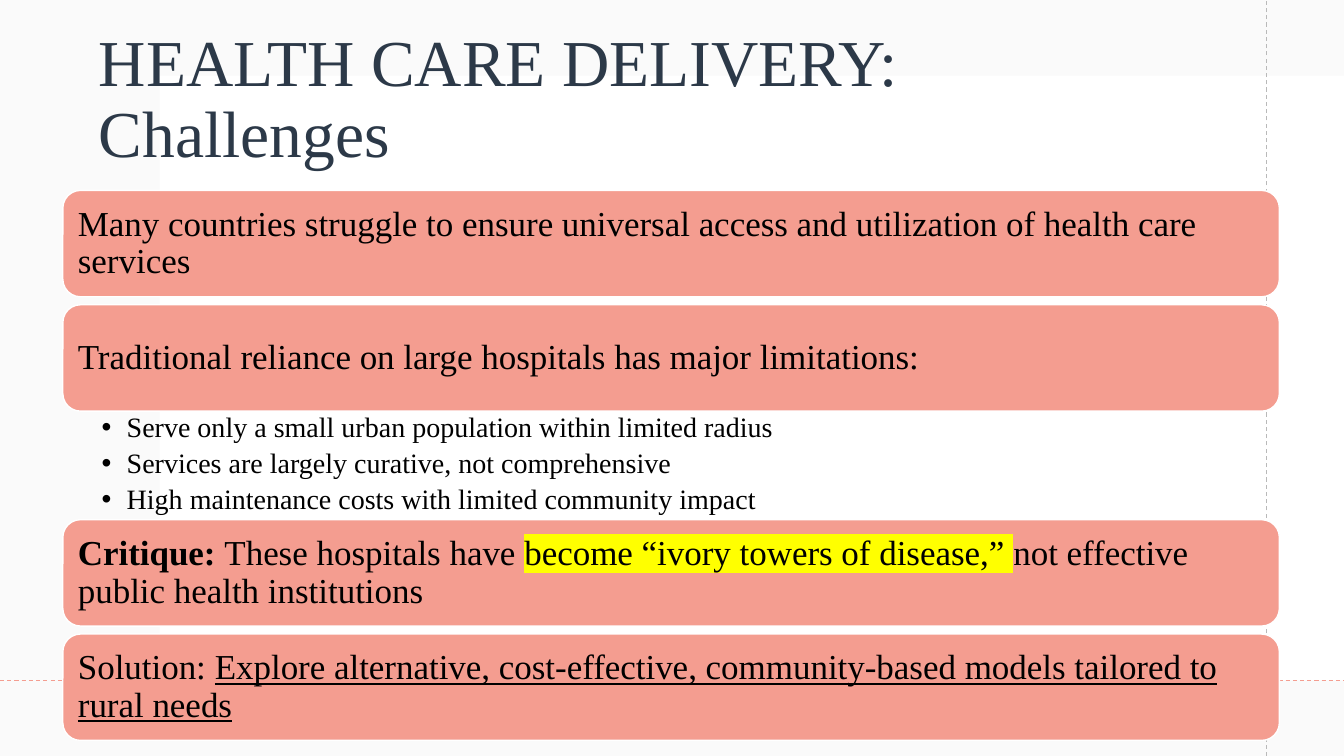
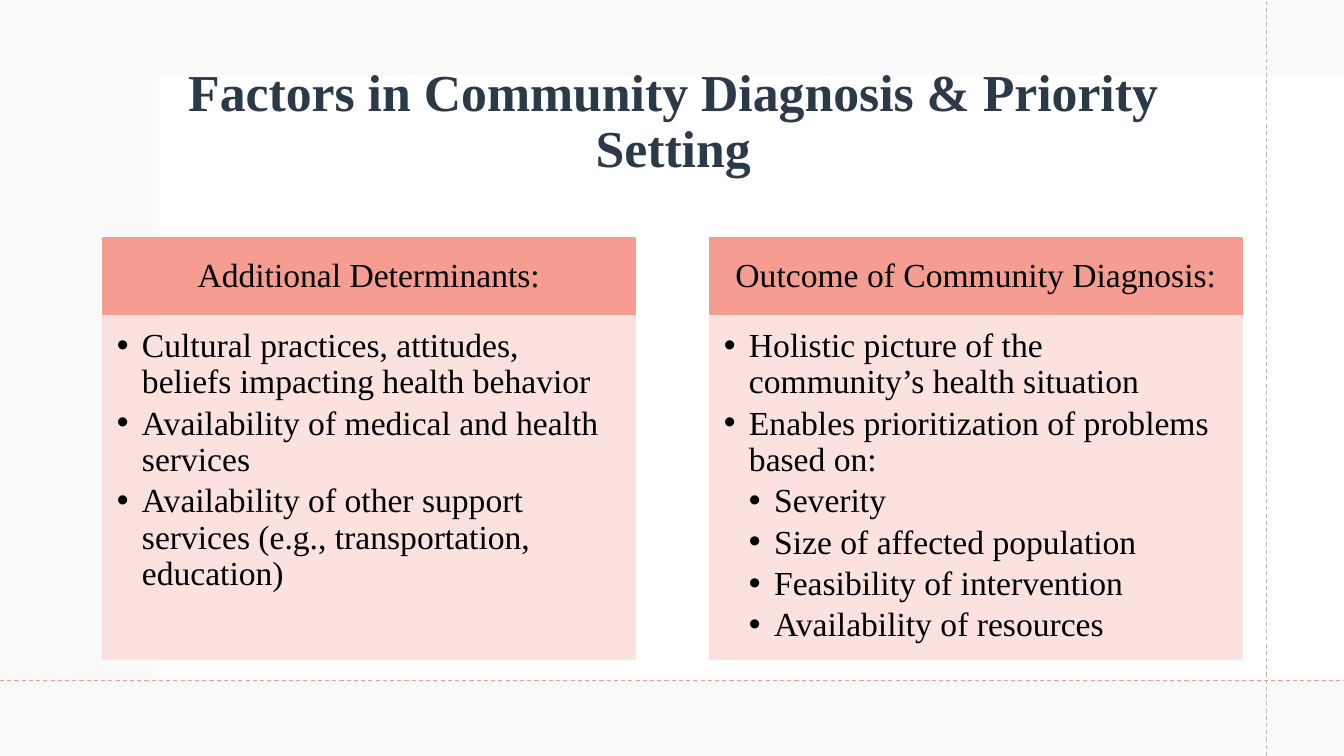
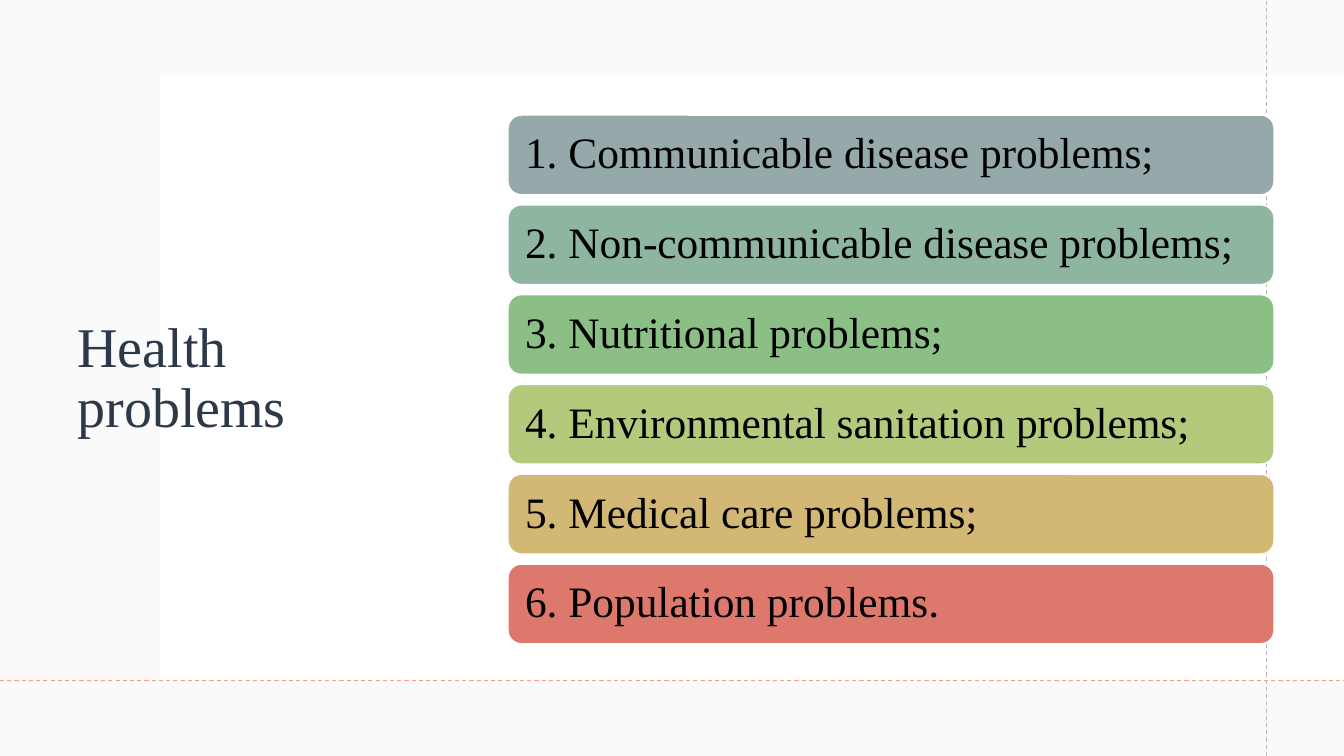
from dataclasses import dataclass
from typing import Any

from lxml.etree import SubElement
from pptx import Presentation
from pptx.dml.color import RGBColor
from pptx.enum.dml import MSO_LINE
from pptx.enum.shapes import MSO_CONNECTOR, MSO_SHAPE
from pptx.enum.text import MSO_ANCHOR as Anchor, MSO_AUTO_SIZE, PP_ALIGN as Align
from pptx.oxml.ns import qn
from pptx.slide import Slide
from pptx.util import Pt

FONT = "Times New Roman"
WIDTH, HEIGHT = 960, 540
INK, NAVY, WHITE = "000000", "2C3948", "FFFFFF"
CORAL, BLUSH, MIST, GREY = "F49D90", "FBDFDB", "F4F4F4", "B9B9B9"
YELLOW = "FFFF00"
BULLET_INDENT = 18


@dataclass(frozen=True)
class Box:
    left: float
    top: float
    width: float
    height: float


@dataclass(frozen=True)
class Span:
    text: str
    bold: bool = False
    underline: bool = False
    highlight: str = ""


@dataclass(frozen=True)
class Paragraph:
    spans: tuple[Span, ...]
    level: int = 0


@dataclass(frozen=True)
class TextStyle:
    size: float
    color: str = INK
    align: Align = Align.LEFT
    anchor: Anchor = Anchor.MIDDLE
    insets: tuple[float, float, float, float] = (7.2, 3.6, 7.2, 3.6)
    after: float = 0
    bulleted: bool = False


@dataclass(frozen=True)
class Panel:
    left: float
    heading: str
    points: tuple[Paragraph, ...]


def plain(text: str, level: int = 0) -> Paragraph:
    return Paragraph((Span(text),), level)


def apply(target: Any, values: dict[str, Any]) -> None:
    for attribute, value in values.items():
        setattr(target, attribute, value)


def paint(fill: Any, color: str, opacity: int = 100) -> None:
    fill.solid()
    fill.fore_color.rgb = RGBColor.from_string(color)
    if opacity < 100:
        for tint in fill._xPr.iterfind(f"{qn('a:solidFill')}/{qn('a:srgbClr')}"):
            SubElement(tint, qn("a:alpha"), val=str(opacity * 1000))


def place(shape: Any, box: Box) -> None:
    apply(shape, {side: Pt(getattr(box, side)) for side in ("left", "top", "width", "height")})


def add_bullet(paragraph: Any, level: int) -> None:
    properties = paragraph._p.get_or_add_pPr()
    properties.set("marL", str(Pt(BULLET_INDENT * (level + 1))))
    properties.set("indent", str(-Pt(BULLET_INDENT)))
    SubElement(properties, qn("a:buFont"), typeface="Arial")
    SubElement(properties, qn("a:buChar"), char="•")


def write(frame: Any, paragraphs: tuple[Paragraph, ...], style: TextStyle) -> None:
    left, top, right, bottom = map(Pt, style.insets)
    apply(frame, {
        "word_wrap": True, "auto_size": MSO_AUTO_SIZE.NONE, "vertical_anchor": style.anchor,
        "margin_left": left, "margin_top": top, "margin_right": right, "margin_bottom": bottom,
    })
    for index, content in enumerate(paragraphs):
        paragraph = frame.add_paragraph() if index else frame.paragraphs[0]
        if style.bulleted:
            add_bullet(paragraph, content.level)
        apply(paragraph, {
            "level": content.level, "alignment": style.align, "line_spacing": 0.9,
            "space_before": Pt(0), "space_after": Pt(style.after),
        })
        for span in content.spans:
            run = paragraph.add_run()
            run.text = span.text
            apply(run.font, {"name": FONT, "size": Pt(style.size), "bold": span.bold,
                             "underline": span.underline})
            paint(run.font.fill, style.color)
            if span.highlight:
                properties = run.font._element
                marker = SubElement(properties, qn("a:highlight"))
                SubElement(marker, qn("a:srgbClr"), val=span.highlight)
                properties.find(qn("a:solidFill")).addnext(marker)


def add_block(slide: Slide, kind: MSO_SHAPE, box: Box, fill: str,
              outline: str = "", opacity: int = 100) -> Any:
    block = slide.shapes.add_shape(kind, *map(Pt, (box.left, box.top, box.width, box.height)))
    block.shadow.inherit = False
    paint(block.fill, fill, opacity)
    if outline:
        paint(block.line.fill, outline)
        block.line.width = Pt(1)
    else:
        block.line.fill.background()
    return block


def add_card(slide: Slide, kind: MSO_SHAPE, box: Box, fill: str, outline: str,
             content: Paragraph, style: TextStyle) -> None:
    card = add_block(slide, kind, box, fill, outline)
    write(card.text_frame, (content,), style)


def add_guide(slide: Slide, start: tuple[float, float], end: tuple[float, float],
              color: str) -> Any:
    guide = slide.shapes.add_connector(MSO_CONNECTOR.STRAIGHT, *map(Pt, start + end))
    paint(guide.line.fill, color)
    apply(guide.line, {"width": Pt(0.75), "dash_style": MSO_LINE.DASH})
    SubElement(guide.element.spPr, qn("a:effectLst"))
    return guide


def decorate_master(deck: Any, slide: Slide) -> None:
    backdrop = (
        add_block(slide, MSO_SHAPE.RECTANGLE, Box(0, 0, WIDTH, HEIGHT), MIST, opacity=45),
        add_block(slide, MSO_SHAPE.RECTANGLE, Box(114, 54, 846, 432), WHITE),
        add_guide(slide, (905, HEIGHT), (905, 0), GREY),
        add_guide(slide, (0, 486), (WIDTH, 486), CORAL),
    )
    tree = deck.slide_master.shapes.element
    for index, part in enumerate(backdrop):
        part.element.xpath(".//p:cNvPr")[0].set("id", str(101 + index))
        tree.insert(2 + index, part.element)


def add_title(slide: Slide, box: Box, span: Span, style: TextStyle) -> None:
    place(slide.shapes.title, box)
    write(slide.shapes.title.text_frame, (Paragraph((span,)),), style)


def build_challenges(slide: Slide) -> None:
    add_title(slide, Box(63.4, 25.2, 720.7, 93.6), Span("HEALTH CARE DELIVERY: Challenges"),
              TextStyle(46.8, NAVY))
    left, top, width, height, gap, list_height = 44.9, 136, 869, 76, 5.7, 77.5
    limitations = (
        plain("Serve only a small urban population within limited radius"),
        plain("Services are largely curative, not comprehensive"),
        plain("High maintenance costs with limited community impact"),
    )
    statements = (
        plain("Many countries struggle to ensure universal access and utilization of "
              "health care services"),
        plain("Traditional reliance on large hospitals has major limitations:"),
        Paragraph((
            Span("Critique: ", bold=True),
            Span("These hospitals have "),
            Span("become “ivory towers of disease,” ", highlight=YELLOW),
            Span("not effective public health institutions"),
        )),
        Paragraph((
            Span("Solution: "),
            Span("Explore alternative, cost-effective, community-based models tailored to "
                 "rural needs", underline=True),
        )),
    )
    card_style = TextStyle(25, insets=(7.2,) * 4)
    for index, statement in enumerate(statements):
        card_top = top + index * (height + gap) + (list_height - gap if index > 1 else 0)
        add_card(slide, MSO_SHAPE.ROUNDED_RECTANGLE, Box(left, card_top, width, height),
                 CORAL, WHITE, statement, card_style)
    body = slide.placeholders[1]
    place(body, Box(left, top + 2 * height + gap, width, list_height))
    write(body.text_frame, limitations,
          TextStyle(20, anchor=Anchor.TOP, insets=(27.6, 1.8, 13.7, 1.8), after=4,
                    bulleted=True))


def build_factors(slide: Slide) -> None:
    add_title(slide, Box(120.2, 43.2, 721.4, 89.3),
              Span("Factors in Community Diagnosis & Priority Setting", bold=True),
              TextStyle(37, NAVY, Align.CENTER))
    panels = (
        Panel(73.3, "Additional Determinants:", (
            plain("Cultural practices, attitudes, beliefs impacting health behavior"),
            plain("Availability of medical and health services"),
            plain("Availability of other support services (e.g., transportation, education)"),
        )),
        Panel(506.9, "Outcome of Community Diagnosis:", (
            plain("Holistic picture of the community’s health situation"),
            plain("Enables prioritization of problems based on:"),
            plain("Severity", 1),
            plain("Size of affected population", 1),
            plain("Feasibility of intervention", 1),
            plain("Availability of resources", 1),
        )),
    )
    top, width, heading_height, body_height = 169.9, 380.2, 54.7, 246.2
    heading_style = TextStyle(24, align=Align.CENTER, insets=(13.7, 7.9, 13.7, 7.9))
    points_style = TextStyle(24, anchor=Anchor.TOP, insets=(10.1, 10.1, 13.4, 15.1),
                             after=3.6, bulleted=True)
    for index, panel in enumerate(panels, 1):
        add_card(slide, MSO_SHAPE.RECTANGLE, Box(panel.left, top, width, heading_height),
                 CORAL, CORAL, plain(panel.heading), heading_style)
        body = slide.placeholders[index]
        place(body, Box(panel.left, top + heading_height, width, body_height))
        paint(body.fill, BLUSH, 90)
        paint(body.line.fill, BLUSH, 90)
        body.line.width = Pt(1)
        write(body.text_frame, panel.points, points_style)


def build_problems(slide: Slide) -> None:
    add_title(slide, Box(48.2, 43.2, 275, 455.8), Span("Health problems"),
              TextStyle(40, NAVY))
    problems = (
        ("1. Communicable disease problems;", "96A9AA"),
        ("2. Non-communicable disease problems;", "8DB59F"),
        ("3. Nutritional problems;", "8CBF85"),
        ("4. Environmental sanitation problems;", "B3C97C"),
        ("5. Medical care problems;", "D3B774"),
        ("6. Population problems.", "DD796C"),
    )
    top, height, pitch = 82.2, 56.9, 64.15
    problem_style = TextStyle(31, insets=(9.4,) * 4)
    for index, (problem, color) in enumerate(problems):
        add_card(slide, MSO_SHAPE.ROUNDED_RECTANGLE,
                 Box(362.9, top + index * pitch, 547.2, height), color, WHITE,
                 plain(problem), problem_style)


def main() -> None:
    deck = Presentation()
    apply(deck, {"slide_width": Pt(WIDTH), "slide_height": Pt(HEIGHT)})
    content, two_content, title_only = (deck.slide_layouts[index] for index in (1, 3, 5))
    challenges = deck.slides.add_slide(content)
    decorate_master(deck, challenges)
    build_challenges(challenges)
    build_factors(deck.slides.add_slide(two_content))
    build_problems(deck.slides.add_slide(title_only))
    deck.save("out.pptx")


if __name__ == "__main__":
    main()
